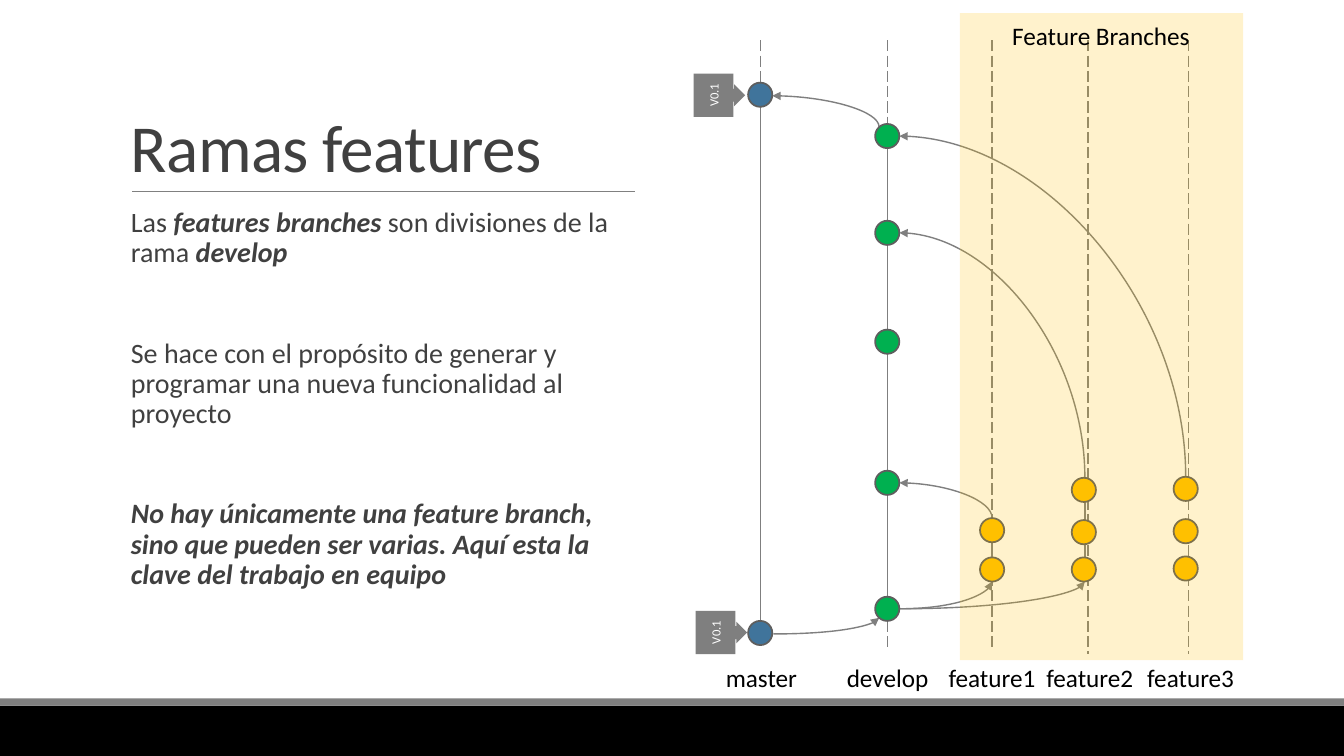
from pptx import Presentation
from pptx.dml.color import RGBColor
from pptx.enum.dml import MSO_LINE
from pptx.enum.shapes import MSO_CONNECTOR, MSO_SHAPE
from pptx.enum.text import MSO_ANCHOR, PP_ALIGN
from pptx.oxml.ns import qn
from pptx.util import Inches, Pt
from lxml.etree import SubElement

HUES = {"black": "000000", "white": "FFFFFF", "gray": "7F7F7F", "rule": "808080", "ink": "404040",
        "edge": "5E5E5E", "blue": "40749B", "green": "00B050", "gold": "FFC000"}


class Deck:
    """Draws styled elements on the current slide."""

    def __init__(self, font):
        self.font = font
        self.show = Presentation()
        self.show.slide_width, self.show.slide_height = Inches(13.33), Inches(7.5)
        self.slide = self.show.slides.add_slide(self.show.slide_layouts[6])

    def hue(self, name):
        return RGBColor.from_string(HUES[name])

    def shape(self, kind, left, top, width, height, fill, edge=None, alpha=None):
        item = self.slide.shapes.add_shape(kind, *map(Inches, (left, top, width, height)))
        item.shadow.inherit = False
        item.fill.solid()
        item.fill.fore_color.rgb = self.hue(fill)
        if alpha:
            tint = item.fill._xPr.find(qn("a:solidFill"))[0]
            SubElement(tint, qn("a:alpha")).set("val", str(alpha * 1000))
        if edge:
            item.line.color.rgb = self.hue(edge)
            item.line.width = Pt(1.25)
        else:
            item.line.fill.background()
        return item

    def dot(self, x, y, fill):
        self.shape(MSO_SHAPE.OVAL, x - 0.12, y - 0.12, 0.24, 0.24, fill, "edge")

    def line(self, x1, y1, x2, y2, dash=False, tone="gray", width=1, kind=MSO_CONNECTOR.STRAIGHT):
        item = self.slide.shapes.add_connector(kind, *map(Inches, (x1, y1, x2, y2)))
        item.line.color.rgb = self.hue(tone)
        item.line.width = Pt(width)
        if dash:
            item.line.dash_style = MSO_LINE.LONG_DASH
        SubElement(item._element.spPr, qn("a:effectLst"))
        return item

    def curve(self, x1, y1, x2, y2, end):
        item = self.line(x1, y1, x2, y2, kind=MSO_CONNECTOR.CURVE)
        item._element.spPr.find(qn("a:prstGeom")).set("prst", "curvedConnector2")
        SubElement(item.line._get_or_add_ln(), qn("a:" + end)).set("type", "triangle")

    def run(self, para, text, size, tone, strong=False, track=None):
        item = para.add_run()
        item.text = text
        item.font.name, item.font.size = self.font, Pt(size)
        item.font.color.rgb = self.hue(tone)
        item.font.bold = item.font.italic = strong
        if track:
            item.font._element.set("spc", str(track))

    def box(self, left, top, width, height, wrap=True):
        area = self.slide.shapes.add_textbox(*map(Inches, (left, top, width, height)))
        area.text_frame.word_wrap = wrap
        return area.text_frame

    def label(self, text, left, top, width):
        self.run(self.box(left, top, width, 0.4, False).paragraphs[0], text, 18, "black")

    def title(self, text):
        frame = self.box(1.2, 0.31, 11, 1.59)
        frame.vertical_anchor = MSO_ANCHOR.BOTTOM
        para = frame.paragraphs[0]
        para.line_spacing = 0.85
        self.run(para, text, 48, "ink", track=-50)

    def body(self, paras):
        frame = self.box(1.2, 2.02, 5.1, 4.4)
        frame.margin_right = 0
        for num, parts in enumerate(paras):
            para = frame.add_paragraph() if num else frame.paragraphs[0]
            para.line_spacing = 0.9
            para.space_before, para.space_after = Pt(48 if num else 0), Pt(2)
            for text, strong in parts:
                self.run(para, text, 20, "ink", strong)

    def tag(self, text, left, top):
        item = self.shape(MSO_SHAPE.DOWN_ARROW_CALLOUT, left, top, 0.43, 0.51, "gray")
        item.rotation = 270
        for num, val in enumerate((0.298, 0.25, 0.25, 0.772)):
            item.adjustments[num] = val
        frame = item.text_frame
        frame.margin_left = frame.margin_right = 0
        frame.vertical_anchor = MSO_ANCHOR.MIDDLE
        frame.paragraphs[0].alignment = PP_ALIGN.CENTER
        self.run(frame.paragraphs[0], text, 9, "white")


deck = Deck("Calibri")
deck.shape(MSO_SHAPE.RECTANGLE, 0, 7, 13.33, 0.5, "black")
deck.shape(MSO_SHAPE.RECTANGLE, 0, 6.93, 13.33, 0.07, "gray")
deck.line(1.31, 1.9, 6.3, 1.9, tone="rule", width=0.5)
deck.title("Ramas features")
deck.body([
    [("Las ", False), ("features branches", True), (" son divisiones de la rama ", False),
     ("develop", True)],
    [("Se hace con el propósito de generar y programar una nueva funcionalidad al proyecto", False)],
    [("No hay únicamente una feature branch, sino que pueden ser varias. "
      "Aquí esta la clave del trabajo en equipo", True)],
])

for x, low in ((7.54, 6.41), (8.8, 6.46), (9.84, 6.46), (10.79, 6.49), (11.79, 6.49)):
    deck.line(x, 0.4, x, low, dash=True)
for x, low, high in ((7.54, 6.16, 0.94), (8.8, 5.92, 1.47), (9.84, 5.53, 5.38), (10.76, 5.53, 4.98)):
    deck.line(x, low, x, high)

for x1, y1, x2, y2 in ((7.67, 6.29, 8.72, 6.13), (8.92, 6.04, 9.84, 5.77), (8.92, 6.04, 10.76, 5.77)):
    deck.curve(x1, y1, x2, y2, "tailEnd")
for x1, y1, x2, y2 in ((7.66, 0.95, 8.72, 1.26), (8.92, 4.79, 9.84, 5.14),
                       (8.92, 2.31, 10.76, 4.74), (8.92, 1.35, 11.76, 4.73)):
    deck.curve(x1, y1, x2, y2, "headEnd")

for x, fill, rows in ((7.54, "blue", (0.94, 6.28)), (8.8, "green", (1.35, 2.31, 3.39, 4.79, 6.04)),
                      (9.84, "gold", (5.26, 5.65)), (10.75, "gold", (4.86, 5.28, 5.65)),
                      (11.76, "gold", (4.85, 5.27, 5.64))):
    for y in rows:
        deck.dot(x, y, fill)

deck.tag("V0.1", 6.92, 0.69)
deck.tag("V0.1", 6.94, 6.02)
for name, left, width in (("master", 7.1, 0.92), ("develop", 8.3, 1.02), ("feature1", 9.31, 1.07),
                          ("feature2", 10.28, 1.07), ("feature3", 11.28, 1.07)):
    deck.label(name, left, 6.52, width)
deck.shape(MSO_SHAPE.RECTANGLE, 9.52, 0.13, 2.81, 6.42, "gold", alpha=20)
deck.label("Feature Branches", 9.94, 0.15, 1.98)
deck.show.save("out.pptx")
